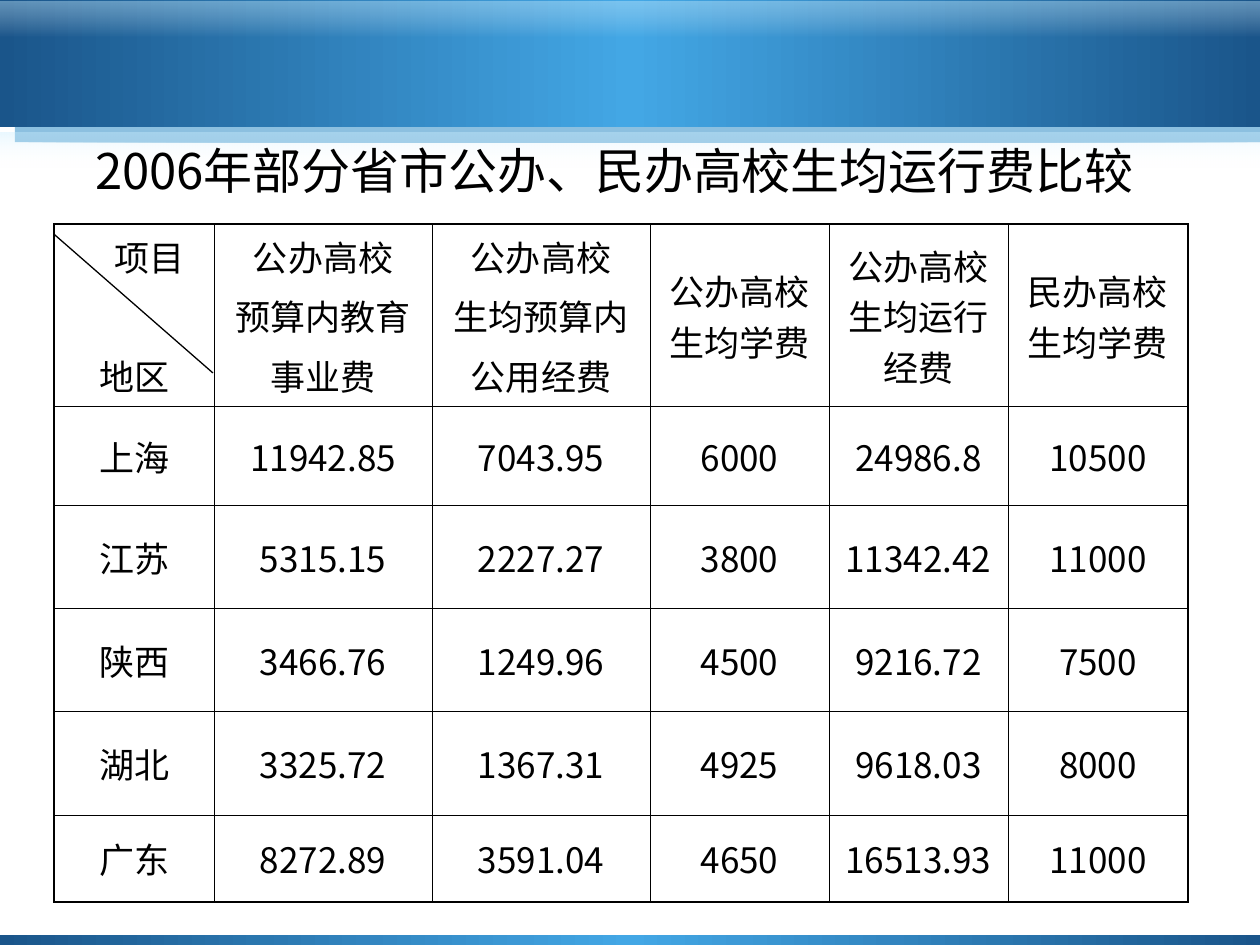
import pptx
import pptx.dml.color
import pptx.enum.shapes
import pptx.enum.text
import pptx.oxml
import pptx.oxml.ns
import pptx.util

Inches = pptx.util.Inches
Pt = pptx.util.Pt
RGBColor = pptx.dml.color.RGBColor
qn = pptx.oxml.ns.qn

NAVY = RGBColor(0x1A, 0x55, 0x8A)
SKY = RGBColor(0x43, 0xA7, 0xE5)
SHADOW = RGBColor(0x1B, 0x83, 0xC3)
PALE = RGBColor(0xCB, 0xEE, 0xFF)
WHITE = RGBColor(0xFF, 0xFF, 0xFF)
BLACK = RGBColor(0, 0, 0)

BLUE_BAND = [(0, NAVY, 100), (50, SKY, 100), (100, NAVY, 100)]
HAZE = [(0, PALE, 41), (100, WHITE, 0)]
COLUMNS = [1.27, 1.73, 1.73, 1.42, 1.42, 1.43]
ROWS = [1.24, 0.78, 0.82, 0.82, 0.82, 0.69]
DATA = [
    ["项目\n地区", "公办高校\n预算内教育\n事业费", "公办高校\n生均预算内\n公用经费",
     "公办高校生均学费", "公办高校生均运行经费", "民办高校生均学费"],
    ["上海", "11942.85", "7043.95", "6000", "24986.8", "10500"],
    ["江苏", "5315.15", "2227.27", "3800", "11342.42", "11000"],
    ["陕西", "3466.76", "1249.96", "4500", "9216.72", "7500"],
    ["湖北", "3325.72", "1367.31", "4925", "9618.03", "8000"],
    ["广东", "8272.89", "3591.04", "4650", "16513.93", "11000"],
]


def xml(tag, attrs="", inner=""):
    """Return a DrawingML element."""
    ns = pptx.oxml.ns.nsdecls("a")
    return pptx.oxml.parse_xml(f"<a:{tag} {ns} {attrs}>{inner}</a:{tag}>")


def colour(rgb, alpha):
    """Return the markup of a colour with an opacity in percent."""
    return f'<a:srgbClr val="{rgb}"><a:alpha val="{alpha * 1000}"/></a:srgbClr>'


class Deck:
    """Holds the text styles and the current slide."""

    title_font, title_size = "Noto Sans CJK SC", Pt(28)
    table_font, table_size = "Noto Sans CJK KR", Pt(20)
    thin, thick = Pt(0.45), Pt(1.08)

    def __init__(self, prs):
        self.s = prs.slides.add_slide(prs.slide_layouts[5])

    def style(self, tf, font, size, before=0):
        tf.word_wrap = True
        for p in tf.paragraphs:
            p.alignment = pptx.enum.text.PP_ALIGN.CENTER
            p.space_before = Pt(before)
            for r in p.runs:
                r.font.name, r.font.size = font, size
                r.font.color.rgb = BLACK
                r.font.bold = False
                r.font.fill.fore_color.rgb = BLACK
                r._r.get_or_add_rPr().append(xml("ea", f'typeface="{font}"'))

    def band(self, top, height, stops, angle=0, shadow=False):
        kind = pptx.enum.shapes.MSO_SHAPE.ROUNDED_RECTANGLE
        sp = self.s.shapes.add_shape(kind, 0, Inches(top), Inches(10), Inches(height))
        sp.adjustments[0] = 0
        sp.fill.gradient()
        sp.fill.gradient_angle = angle
        stop_list = next(sp.element.iter(qn("a:gsLst")))
        for stop in list(stop_list):
            stop_list.remove(stop)
        for pos, rgb, alpha in stops:
            stop_list.append(xml("gs", f'pos="{pos * 1000}"', colour(rgb, alpha)))
        sp.line.fill.background()
        sp.shadow.inherit = False
        if shadow:
            effects = next(sp.element.iter(qn("a:effectLst")))
            effects.append(xml("outerShdw", f'dist="{Pt(12.1)}" dir="2700000"', colour(SHADOW, 50)))

    def title(self, text, left, top, width, height):
        sp = self.s.shapes.title
        sp.left, sp.top, sp.width, sp.height = map(Inches, (left, top, width, height))
        sp.element.getparent().append(sp.element)
        tf = sp.text_frame
        tf.text = text
        tf.vertical_anchor = pptx.enum.text.MSO_ANCHOR.MIDDLE
        self.style(tf, self.title_font, self.title_size)

    def table(self, data, left, top, widths, heights):
        rows, cols = len(heights), len(widths)
        box = map(Inches, (left, top, sum(widths), sum(heights)))
        table = self.s.shapes.add_table(rows, cols, *box).table
        table.first_row = table.horz_banding = False
        for column, width in zip(table.columns, widths):
            column.width = Inches(width)
        for i, height in enumerate(heights):
            table.rows[i].height = Inches(height)
            for j, text in enumerate(data[i]):
                cell = table.cell(i, j)
                cell.text_frame.text = text
                cell.vertical_anchor = pptx.enum.text.MSO_ANCHOR.MIDDLE
                self.style(cell.text_frame, self.table_font, self.table_size, 5)
                cell.fill.background()
                outer = {"L": j == 0, "R": j == cols - 1, "T": i == 0, "B": i == rows - 1}
                self.borders(cell, outer)
        return table

    def borders(self, cell, outer):
        tcPr = cell._tc.get_or_add_tcPr()
        fill = f"<a:solidFill>{colour(BLACK, 100)}</a:solidFill>"
        for k, (side, is_outer) in enumerate(outer.items()):
            width = self.thick if is_outer else self.thin
            tcPr.insert(k, xml(f"ln{side}", f'w="{width}"', fill))

    def corner(self, cell):
        cell.vertical_anchor = pptx.enum.text.MSO_ANCHOR.TOP
        item, region = cell.text_frame.paragraphs
        item._p.get_or_add_pPr().set("marL", str(Inches(0.25)))
        region.space_before = Pt(39)

    def line(self, x1, y1, x2, y2):
        kind = pptx.enum.shapes.MSO_CONNECTOR.STRAIGHT
        line = self.s.shapes.add_connector(kind, *map(Inches, (x1, y1, x2, y2)))
        line.line.color.rgb = BLACK
        line.line.width = Pt(0.75)
        line.element.spPr.append(xml("effectLst"))


def main():
    prs = pptx.Presentation()
    prs.slide_width, prs.slide_height = Inches(10), Inches(7.5)
    deck = Deck(prs)
    deck.band(0, 1.01, BLUE_BAND, shadow=True)
    deck.band(0.01, 0.28, HAZE, angle=270)
    deck.band(1.05, 0.28, HAZE, angle=270)
    deck.band(7.42, 0.16, BLUE_BAND, shadow=True)
    deck.title("2006年部分省市公办、民办高校生均运行费比较", 0.27, 0.91, 9.21, 0.87)
    table = deck.table(DATA, 0.43, 1.78, COLUMNS, ROWS)
    deck.corner(table.cell(0, 0))
    deck.line(0.43, 1.86, 1.69, 2.96)
    prs.save("out.pptx")


if __name__ == "__main__":
    main()
